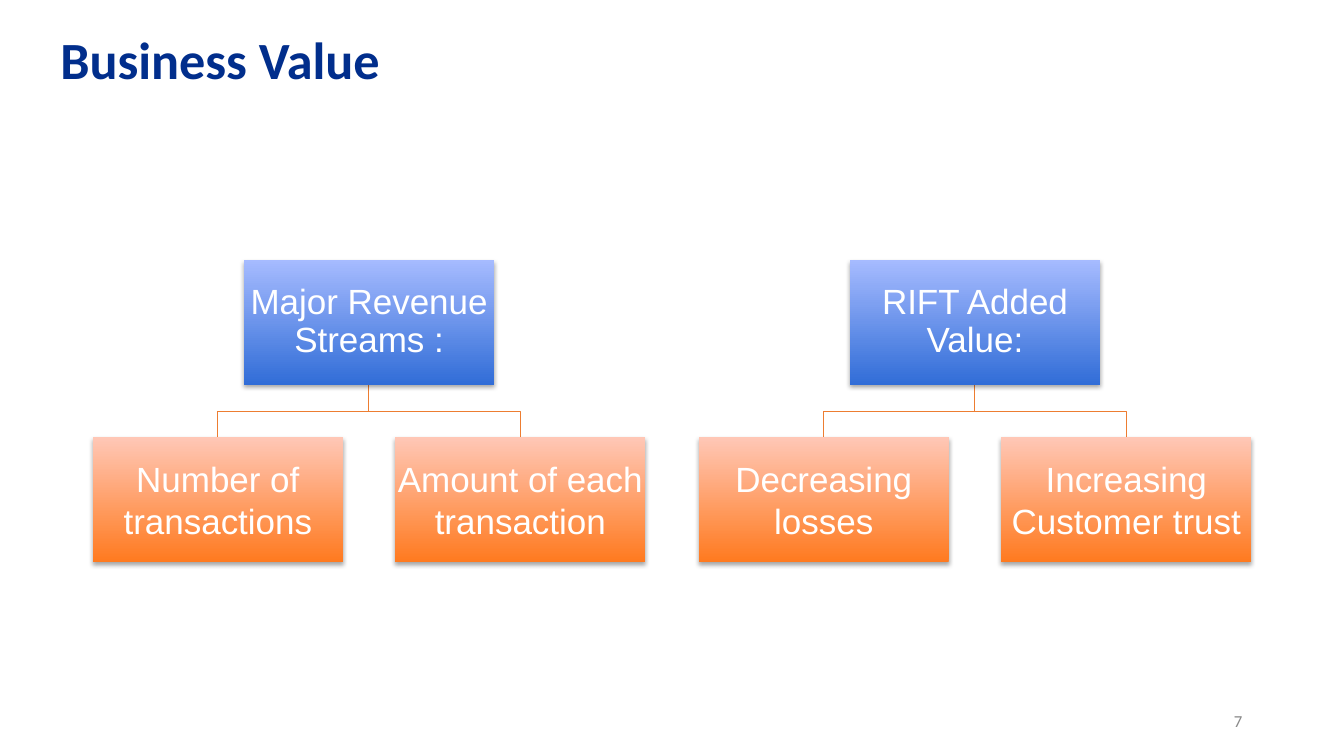
from lxml.etree import SubElement
from pptx import Presentation
from pptx.dml.color import RGBColor
from pptx.enum.shapes import MSO_SHAPE
from pptx.enum.text import MSO_ANCHOR, PP_ALIGN
from pptx.oxml.ns import qn
from pptx.util import Inches, Pt

COLORS = {
    "title": "012E8C",
    "number": "888888",
    "card_text": "FFFFFF",
    "branch": "ED7D31",
    "shadow": "000000",
    "blue_bottom": "316DD7",
    "blue_top": "A6BBFF",
    "orange_bottom": "FF7A1F",
    "orange_top": "FFC7B6",
}
CARD_WIDTH, CARD_HEIGHT = 2.48, 1.24
TREE_WIDTH, TREE_HEIGHT = 5.48, 3.0
TREE_TOP = 2.58
TREES = [
    (0.92, "Major Revenue Streams :", ["Number of transactions", "Amount of each transaction"]),
    (6.93, "RIFT Added Value:", ["Decreasing losses", "Increasing Customer trust"]),
]


def color(name):
    return RGBColor.from_string(COLORS[name])


def write_text(shape, text, size, font_name, color_name, alignment, margins, line_spacing=1.0, bold=False):
    text_frame = shape.text_frame
    text_frame.word_wrap = True
    text_frame.vertical_anchor = MSO_ANCHOR.MIDDLE
    text_frame.margin_left = text_frame.margin_right = Inches(margins[0])
    text_frame.margin_top = text_frame.margin_bottom = Inches(margins[1])
    text_frame.text = text
    paragraph = text_frame.paragraphs[0]
    paragraph.alignment = alignment
    paragraph.line_spacing = line_spacing
    font = paragraph.runs[0].font
    font.name = font_name
    font.size = Pt(size)
    font.bold = bold
    font.color.rgb = color(color_name)


def add_label(slide, box, text, size, color_name, alignment, line_spacing=1.0, bold=False):
    label = slide.shapes.add_textbox(*map(Inches, box))
    write_text(label, text, size, "Calibri", color_name, alignment, (0.1, 0.05), line_spacing, bold)


def add_soft_shadow(shape):
    shape.shadow.inherit = False
    effects = shape._element.spPr.find(qn("a:effectLst"))
    shadow = SubElement(effects, qn("a:outerShdw"), blurRad="40000", dist="23000", dir="5400000", rotWithShape="0")
    shadow_color = SubElement(shadow, qn("a:srgbClr"), val=COLORS["shadow"])
    SubElement(shadow_color, qn("a:alpha"), val="35000")


def add_card(slide, left, top, text, hue, line_spacing=1.0):
    card = slide.shapes.add_shape(
        MSO_SHAPE.RECTANGLE, Inches(left), Inches(top), Inches(CARD_WIDTH), Inches(CARD_HEIGHT)
    )
    card.fill.gradient()
    card.fill.gradient_angle = 90
    for stop, end in zip(card.fill.gradient_stops, ("bottom", "top")):
        stop.color.rgb = color(f"{hue}_{end}")
    card.line.fill.background()
    add_soft_shadow(card)
    write_text(card, text, 25, "Arial", "card_text", PP_ALIGN.CENTER, (0.02, 0.02), line_spacing)


def add_branch(slide, start_x, start_y, end_x, end_y):
    middle_y = (start_y + end_y) / 2
    builder = slide.shapes.build_freeform(Inches(start_x), Inches(start_y))
    corners = [(start_x, middle_y), (end_x, middle_y), (end_x, end_y)]
    builder.add_line_segments([(Inches(x), Inches(y)) for x, y in corners], close=False)
    branch = builder.convert_to_shape()
    branch.shadow.inherit = False
    branch.fill.background()
    branch.line.color.rgb = color("branch")
    branch.line.width = Pt(0.75)


def add_tree(slide, box, heading, children):
    left, top, width, height = box
    center = left + width / 2
    child_top = top + height - CARD_HEIGHT
    pitch = (width - CARD_WIDTH) / (len(children) - 1)
    child_lefts = [left + index * pitch for index in range(len(children))]
    for child_left in child_lefts:
        add_branch(slide, center, top + CARD_HEIGHT, child_left + CARD_WIDTH / 2, child_top)
    add_card(slide, center - CARD_WIDTH / 2, top, heading, "blue", 0.9)
    for child_left, text in zip(child_lefts, children):
        add_card(slide, child_left, child_top, text, "orange")


def main():
    presentation = Presentation()
    presentation.slide_width = Inches(13.33)
    presentation.slide_height = Inches(7.5)
    slide = presentation.slides.add_slide(presentation.slide_layouts[6])
    add_label(slide, (0.5, 0.21, 11.67, 0.83), "Business Value", 37.3, "title", PP_ALIGN.LEFT, 0.9, True)
    for left, heading, children in TREES:
        add_tree(slide, (left, TREE_TOP, TREE_WIDTH, TREE_HEIGHT), heading, children)
    add_label(slide, (9.42, 6.95, 3, 0.4), "7", 12, "number", PP_ALIGN.RIGHT)
    presentation.save("out.pptx")


if __name__ == "__main__":
    main()
